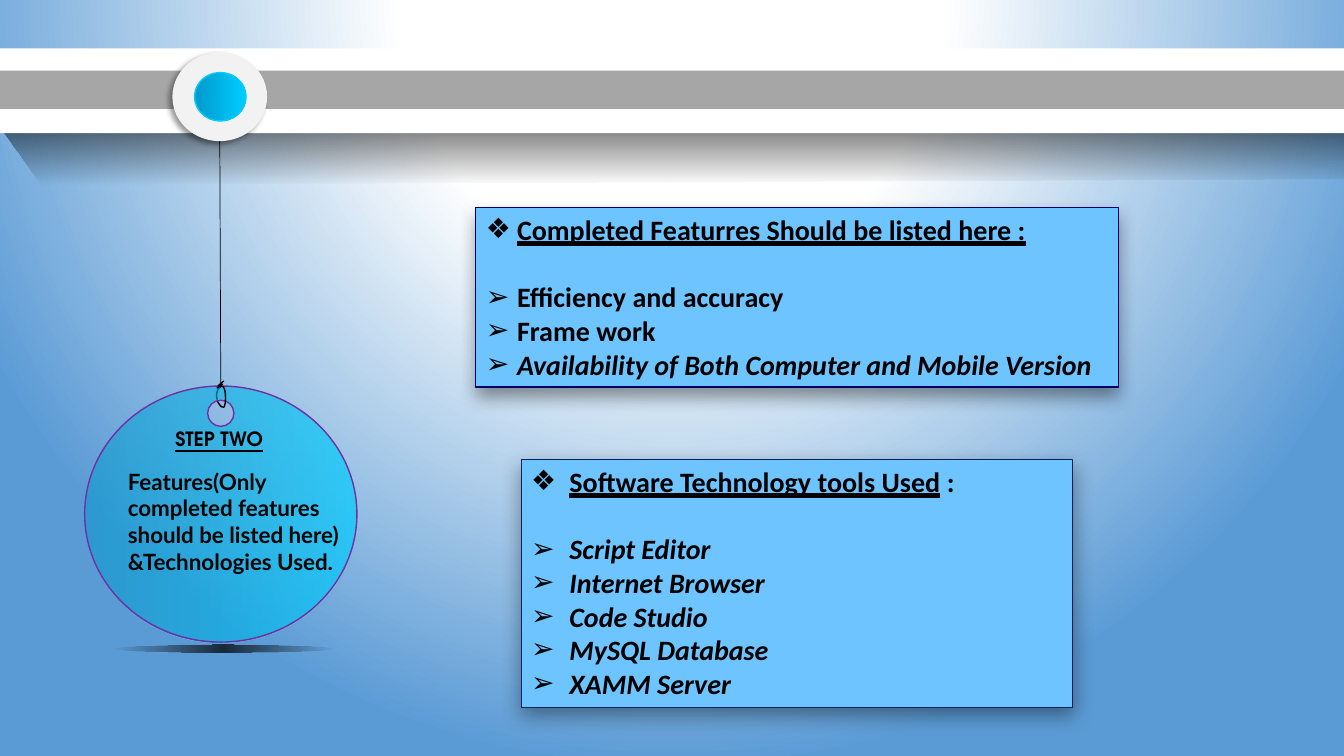
import pptx
import pptx.util
import pptx.oxml
import pptx.oxml.ns
import pptx.dml.color
import pptx.enum.shapes
import pptx.enum.text
from pptx.util import Inches, Pt

KIND = pptx.enum.shapes.MSO_SHAPE
HEAVY = pptx.enum.text.MSO_UNDERLINE.HEAVY_LINE
NS = 'xmlns:a="http://schemas.openxmlformats.org/drawingml/2006/main"'

THEME = {
    "white": "FFFFFF", "black": "000000", "ink": "050505", "sky": "5B9BD5",
    "bar": "A6A6A6", "ring": "F2F2F2", "deep": "0099CC", "aqua": "00CCFF",
    "rim": "7030A0", "panel": "6DC4FF", "navy": "002060", "blue": "000066",
    "body": ("Calibri", 20), "note": ("Lato", 16),
    "step": ("TeX Gyre Adventor", 14),
}

# Text: (words, style), where style holds any of b, i, u, h (heavy underline)
STEP = "STEP TWO"
NOTE = "Features(Only completed features should be listed here) &Technologies Used."
PANELS = [
    {"box": (5.17, 4.56, 5.47, 2.46), "line": "navy", "blur": 15, "dist": 5,
     "dent": 0.38,
     "head": [("Software Technology tools Used", "bh"), (" :", "b")],
     "items": [("Script Editor", "bi"), ("Internet Browser", "bi"),
               ("Code Studio", "bi"), ("MySQL Database", "bi"),
               ("XAMM Server", "bi")]},
    {"box": (4.72, 2.06, 6.37, 1.78), "line": "blue", "blur": 13, "dist": 6,
     "dent": 0.31,
     "head": [("Completed Featurres Should be listed here :", "bh")],
     "items": [("Efficiency and accuracy", "b"), ("Frame work", "b"),
               ("Availability of Both Computer and Mobile Version", "bi")]},
]

# Bars: (box, colour)
BARS = [((-0.66, 0.48, 14.92, 0.84), "white"),
        ((-0.32, 0.7, 14.11, 0.38), "bar")]
SHADE = [(0.41, 1.83), (-0.17, 1.02), (13.22, 1.17), (13.62, 1.77)]
FADE = [(0, "black", 74), (100, "black", 0)]
GLOW = [(0, "deep", 100), (100, "aqua", 100)]

# Knot: each loop is a start followed by cubic curves
BACK = [(2.2, 4.04), (2.17, 4.01), (2.15, 3.98), (2.15, 3.94),
        (2.14, 3.9), (2.16, 3.86), (2.19, 3.83)]
FRONT = [(2.18, 3.84), (2.21, 3.82), (2.22, 3.84), (2.23, 3.87),
         (2.24, 3.9), (2.24, 4), (2.23, 4.02),
         (2.23, 4.05), (2.21, 4.04), (2.19, 4.03)]
CORD = ((2.18, 1.4), (2.19, 3.84), 0.5)
TIES = [((2.15, 3.85), (2.21, 3.81), 1), ((2.16, 3.83), (2.22, 3.78), 1)]


def tint(name):
    return pptx.dml.color.RGBColor.from_string(THEME[name])


def blend(fill, host, stops, angle=None, focus=None):
    """Give host a linear gradient, or a round one around focus (l, t, r, b)."""
    fill.solid()
    marks = "".join(
        f'<a:gs pos="{at * 1000}"><a:srgbClr val="{THEME[name]}">'
        f'<a:alpha val="{alpha * 1000}"/></a:srgbClr></a:gs>'
        for at, name, alpha in stops)
    if focus:
        rect = " ".join(f'{side}="{n * 1000}"' for side, n in zip("ltrb", focus))
        way = f'<a:path path="circle"><a:fillToRect {rect}/></a:path>'
    else:
        way = f'<a:lin ang="{angle * 60000}" scaled="0"/>'
    grad = pptx.oxml.parse_xml(
        f'<a:gradFill {NS} rotWithShape="1"><a:gsLst>{marks}</a:gsLst>{way}</a:gradFill>')
    solid = host.find(pptx.oxml.ns.qn("a:solidFill"))
    host.replace(solid, grad)


def finish(shape, fill=None, line=None, width=1):
    """Set plain fill and line, and clear the shadow."""
    shape.shadow.inherit = False
    if fill:
        shape.fill.solid()
        shape.fill.fore_color.rgb = tint(fill)
    else:
        shape.fill.background()
    if line:
        shape.line.color.rgb = tint(line)
        shape.line.width = Pt(width)
    else:
        shape.line.fill.background()
    return shape


def drop(shape, blur, dist, angle):
    """Cast a soft black shadow."""
    spot = shape.element.spPr.find(pptx.oxml.ns.qn("a:effectLst"))
    spot.append(pptx.oxml.parse_xml(
        f'<a:outerShdw {NS} blurRad="{Pt(blur)}" dist="{Pt(dist)}" '
        f'dir="{angle * 60000}" algn="ctr" rotWithShape="0">'
        f'<a:srgbClr val="{THEME["black"]}"><a:alpha val="40000"/></a:srgbClr>'
        '</a:outerShdw>'))


def place(kind, box, **look):
    return finish(slide.shapes.add_shape(kind, *map(Inches, box)), **look)


def draw(rings, close=True, **look):
    """Draw one outline made of one or more point lists."""
    rings = [[(Inches(x), Inches(y)) for x, y in ring] for ring in rings]
    pen = slide.shapes.build_freeform(*rings[0][0])
    for k, ring in enumerate(rings):
        if k:
            pen.move_to(*ring[0])
        pen.add_line_segments(ring[1:], close=close)
    return finish(pen.convert_to_shape(), **look)


def bend(shape):
    """Turn every three straight segments into one cubic curve."""
    legs = list(shape.element.iter(pptx.oxml.ns.qn("a:lnTo")))
    for k in range(0, len(legs), 3):
        arc = pptx.oxml.parse_xml(f"<a:cubicBezTo {NS}/>")
        legs[k].addprevious(arc)
        for leg in legs[k:k + 3]:
            arc.append(leg[0])
            leg.getparent().remove(leg)
    return shape


def oval(x, y, wide, high):
    """List the start and the curve points of an ellipse."""
    k = 0.5523
    unit = [(0, -1), (-k, -1), (-1, -k), (-1, 0), (-1, k), (-k, 1), (0, 1),
            (k, 1), (1, k), (1, 0), (1, -k), (k, -1), (0, -1)]
    return [(x + wide * u, y + high * v) for u, v in unit]


def thread(start, end, width):
    line = slide.shapes.add_connector(
        pptx.enum.shapes.MSO_CONNECTOR.STRAIGHT, *map(Inches, start + end))
    line.line.color.rgb = tint("black")
    line.line.width = Pt(width)
    line.element.spPr.append(pptx.oxml.parse_xml(f"<a:effectLst {NS}/>"))


def write(para, runs, face, color="black"):
    para.alignment = pptx.enum.text.PP_ALIGN.LEFT
    for words, style in runs:
        run = para.add_run()
        run.text = words
        font = run.font
        font.name, size = THEME[face]
        font.size = Pt(size)
        font.color.rgb = tint(color)
        font.bold, font.italic = "b" in style, "i" in style
        font.underline = HEAVY if "h" in style else "u" in style


def label(box, runs, face, color="black", wrap=True):
    frame = slide.shapes.add_textbox(*map(Inches, box)).text_frame
    frame.word_wrap = wrap
    write(frame.paragraphs[0], runs, face, color)


def bullet(para, sign, dent):
    props = para._p.get_or_add_pPr()
    props.set("marL", str(Inches(dent)))
    props.set("indent", str(-Inches(dent)))
    face = THEME["body"][0]
    props.append(pptx.oxml.parse_xml(f'<a:buFont {NS} typeface="{face}"/>'))
    props.append(pptx.oxml.parse_xml(f'<a:buChar {NS} char="{sign}"/>'))


def panel(item):
    shape = place(KIND.RECTANGLE, item["box"], fill="panel", line=item["line"], width=0.75)
    drop(shape, item["blur"], item["dist"], 90)
    frame = shape.text_frame
    frame.word_wrap = True
    frame.vertical_anchor = pptx.enum.text.MSO_ANCHOR.TOP
    rows = [("❖", item["head"])] + [("➢", [run]) for run in item["items"]]
    for k, (sign, runs) in enumerate(rows):
        para = frame.add_paragraph() if k else frame.paragraphs[0]
        bullet(para, sign, item["dent"])
        if k == 1:
            para.space_before = Pt(24)
        write(para, runs, "body")


deck = pptx.Presentation()
deck.slide_width, deck.slide_height = Inches(13.33), Inches(7.5)
slide = deck.slides.add_slide(deck.slide_layouts[6])
back = slide.background.fill
back.solid()
blend(back, slide.element.find(".//" + pptx.oxml.ns.qn("p:bgPr")),
      [(0, "white", 100), (35, "white", 100), (100, "sky", 100)],
      focus=(50, -80, 50, 180))

shade = draw([SHADE])
blend(shade.fill, shade.element.spPr, FADE, angle=90)
for box, color in BARS:
    place(KIND.ROUNDED_RECTANGLE, box, fill=color).adjustments[0] = 0.5

bend(draw([BACK], close=False, line="black"))
tag = bend(draw([oval(2.19, 4.1, 0.13, 0.13), oval(2.19, 5.1, 1.35, 1.27)], line="rim"))
blend(tag.fill, tag.element.spPr, [(0, "deep", 50), (100, "aqua", 70)], angle=0)
drop(place(KIND.OVAL, (1.71, 0.52, 0.94, 0.88), fill="ring"), 4, 3, 135)
knob = place(KIND.OVAL, (1.93, 0.72, 0.51, 0.48), line="aqua")
blend(knob.fill, knob.element.spPr, GLOW, angle=0)
thread(*CORD)
bend(draw([FRONT], close=False, line="black"))
for tie in TIES:
    thread(*tie)
floor = place(KIND.OVAL, (1.12, 6.39, 2.19, 0.08))
blend(floor.fill, floor.element.spPr, FADE, focus=(50, 50, 50, 50))

label((1.17, 4.59, 2.54, 1.41), [(NOTE, "b")], "note", color="ink")
label((1.64, 4.19, 1.2, 0.35), [(STEP, "bu")], "step", wrap=False)
for item in PANELS:
    panel(item)

deck.save("out.pptx")
